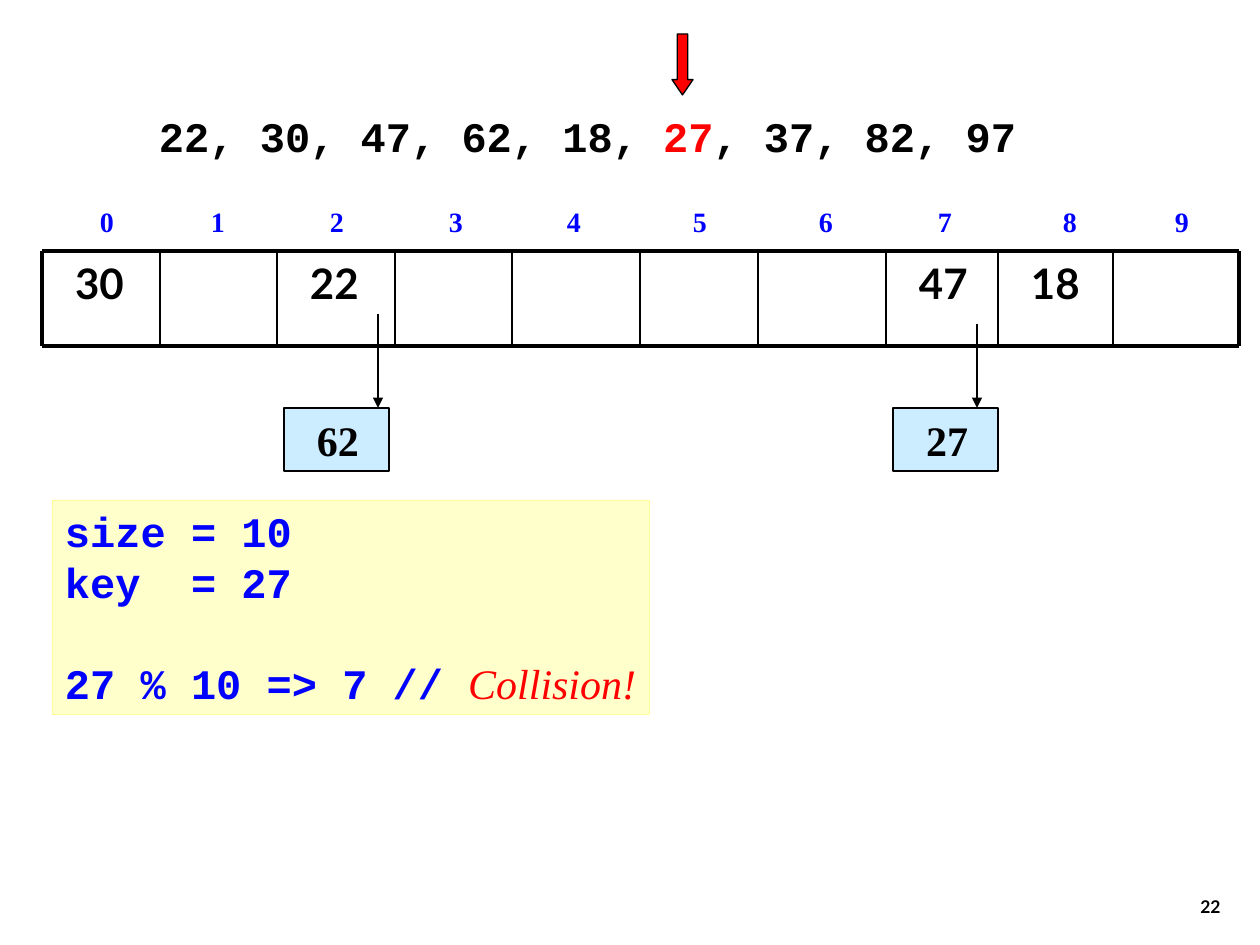
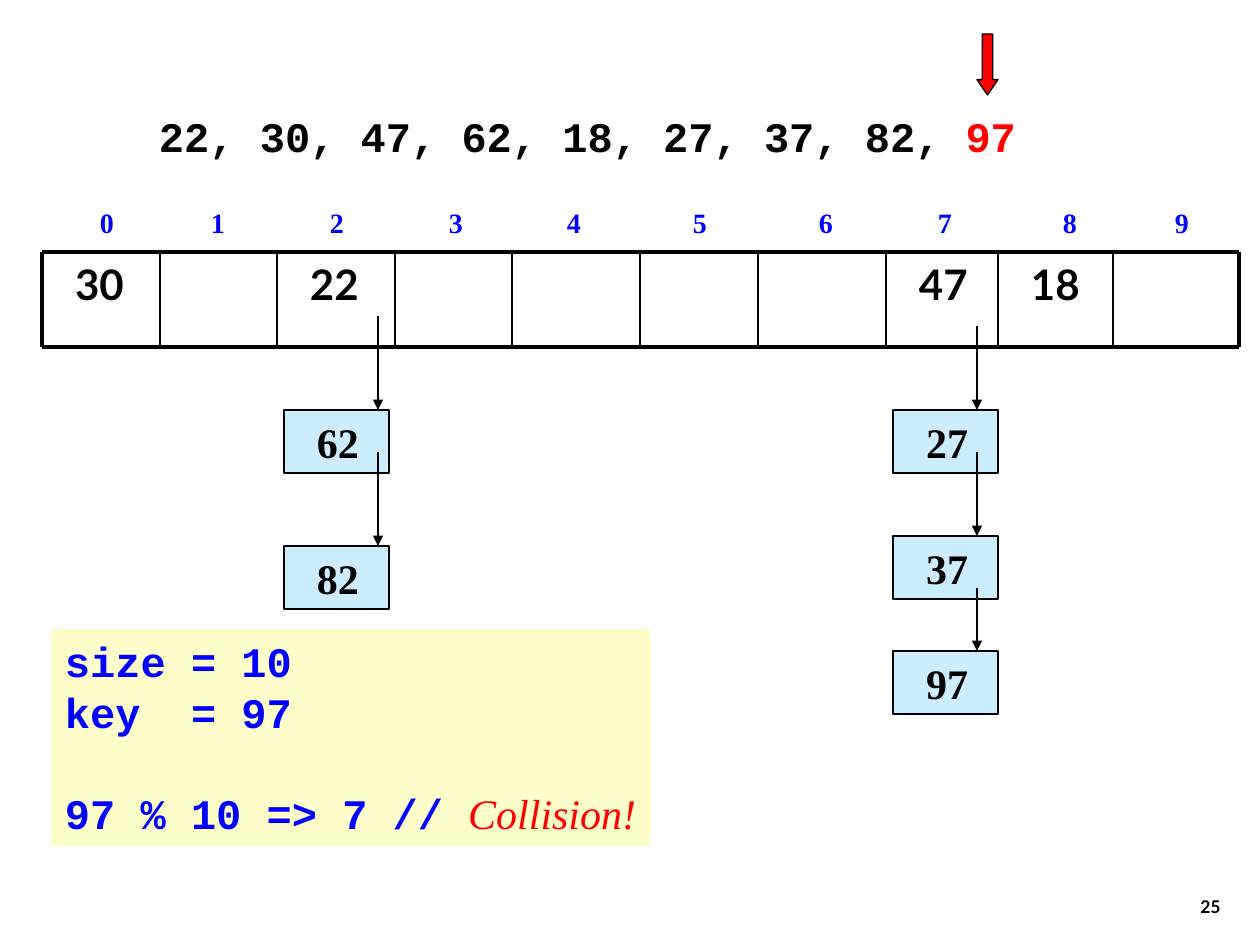
from lxml import etree
from pptx import Presentation
from pptx.dml.color import RGBColor
from pptx.enum.shapes import MSO_CONNECTOR, MSO_SHAPE
from pptx.enum.text import MSO_ANCHOR, PP_ALIGN
from pptx.oxml.ns import qn
from pptx.util import Emu, Pt

PX = 914400 / 126
BLACK = RGBColor(0x00, 0x00, 0x00)
RED = RGBColor(0xFF, 0x00, 0x00)
BLUE = RGBColor(0x00, 0x00, 0xFF)
NODE_FILL = RGBColor(0xCC, 0xEC, 0xFF)
CODE_FILL = RGBColor(0xFF, 0xFF, 0xCC)
CODE_LINE = RGBColor(0xFF, 0xFF, 0x99)
RECT, DOWN_ARROW = MSO_SHAPE.RECTANGLE, MSO_SHAPE.DOWN_ARROW
STRAIGHT = MSO_CONNECTOR.STRAIGHT
TOP, BOTTOM = MSO_ANCHOR.TOP, MSO_ANCHOR.BOTTOM
LEFT, RIGHT = PP_ALIGN.LEFT, PP_ALIGN.RIGHT
MONO, SANS, SERIF = "Courier New", "Lato", "Times New Roman"

KEYS = [22, 30, 47, 62, 18, 27, 37, 82, 97]
TABLE_SIZE = 10
EDGES = [42, 160, 277, 395, 512, 640, 758, 886, 998, 1113, 1239]
INDEX_CENTERS = [107, 218, 337, 456, 574, 700, 826, 945, 1070, 1182]
STORED = {0: 30, 2: 22, 7: 47, 8: 18}
ROW_H = 95
NODE_W, NODE_H = 105, 63

SLIDES = [
    {"number": 22, "key": 27, "marker_x": 672, "row_y": 251, "code_y": 500,
     "chains": [(284, 378, [(62, 94, 408)]),
                (893, 977, [(27, 84, 408)])]},
    {"number": 25, "key": 97, "marker_x": 977, "row_y": 252, "code_y": 630,
     "chains": [(284, 378, [(62, 94, 410), (82, 94, 546)]),
                (893, 977, [(27, 84, 410), (37, 84, 536), (97, 63, 651)])]},
]


def add_box(s, x, y, w, h, paragraphs, font, size, fill=None, line=None,
            line_width=0.75, left=13, top=6, wrap=True, anchor=TOP, align=LEFT):
    box = [Emu(round(v * PX)) for v in (x, y, w, h)]
    if fill is None:
        sp = s.shapes.add_textbox(*box)
    else:
        sp = s.shapes.add_shape(RECT, *box)
        sp.shadow.inherit = False
        sp.fill.solid()
        sp.fill.fore_color.rgb = fill
        sp.line.color.rgb = line
        sp.line.width = Pt(line_width)
    tf = sp.text_frame
    tf.word_wrap = wrap
    tf.vertical_anchor = anchor
    tf.margin_left, tf.margin_top = Emu(round(left * PX)), Emu(round(top * PX))
    for i, runs in enumerate(paragraphs):
        p = tf.paragraphs[0] if i == 0 else tf.add_paragraph()
        p.alignment = align
        if font == MONO:
            p.line_spacing = Pt(28.8)
        for text, color in runs:
            r = p.add_run()
            r.text = text
            r.font.name, r.font.size, r.font.bold = font, Pt(size), True
            r.font.color.rgb = color
    return sp


def add_line(s, x1, y1, x2, y2, width, arrow=False):
    c = s.shapes.add_connector(STRAIGHT, *[Emu(round(v * PX)) for v in (x1, y1, x2, y2)])
    c.line.color.rgb = BLACK
    c.line.width = Pt(width)
    if arrow:
        etree.SubElement(c._element.spPr.find(qn("a:ln")), qn("a:tailEnd"), type="triangle")
    etree.SubElement(c._element.spPr, qn("a:effectLst"))


prs = Presentation()
prs.slide_width, prs.slide_height = Emu(round(1260 * PX)), Emu(round(945 * PX))

for data in SLIDES:
    s = prs.slides.add_slide(prs.slide_layouts[6])
    key, row_y = data["key"], data["row_y"]
    row_bottom = row_y + ROW_H

    add_box(s, 971, 860, 262, 63, [[(str(data["number"]), BLACK)]], SANS, 10,
            anchor=BOTTOM, align=RIGHT)

    for slot, value in STORED.items():
        add_box(s, EDGES[slot], row_y, EDGES[slot + 1] - EDGES[slot], ROW_H,
                [[(str(value), BLACK)]], SANS, 24, left=33)
    for y in (row_y, row_bottom):
        add_line(s, EDGES[0], y, EDGES[-1], y, 2.25)
    for x in EDGES:
        add_line(s, x, row_y, x, row_bottom, 2.25 if x in (EDGES[0], EDGES[-1]) else 1)

    indexes = "".join(f"\t{i}" for i in range(TABLE_SIZE))
    sp = add_box(s, 31, row_y - 53, 1208, 50, [[(indexes, BLUE)]], SERIF, 16, top=7)
    tabs = etree.SubElement(sp.text_frame.paragraphs[0]._p.get_or_add_pPr(), qn("a:tabLst"))
    for center in INDEX_CENTERS:
        etree.SubElement(tabs, qn("a:tab"), pos=str(round((center - 44) * PX)), algn="ctr")

    for node_x, arrow_x, nodes in data["chains"]:
        for value, length, y in nodes:
            add_box(s, node_x, y, NODE_W, NODE_H, [[(str(value), BLACK)]], SERIF, 24,
                    fill=NODE_FILL, line=BLACK, left=33, top=7)
            add_line(s, arrow_x, y - length, arrow_x, y, 0.75, arrow=True)

    at = KEYS.index(key)
    before = "".join(f"{k}, " for k in KEYS[:at])
    after = "".join(f", {k}" for k in KEYS[at + 1:])
    sequence = [(before, BLACK), (str(key), RED)]
    if after:
        sequence.append((after, BLACK))
    add_box(s, 146, 105, 900, 63, [sequence], MONO, 24)

    marker = [Emu(round(v * PX)) for v in (data["marker_x"], 34, 21, 61)]
    sp = s.shapes.add_shape(DOWN_ARROW, *marker)
    sp.shadow.inherit = False
    sp.adjustments[0], sp.adjustments[1] = 0.5, 0.73
    sp.fill.solid()
    sp.fill.fore_color.rgb = RED
    sp.line.color.rgb = BLACK
    sp.line.width = Pt(0.75)

    code = [[(f"size = {TABLE_SIZE}", BLUE)],
            [(f"key  = {key}", BLUE)],
            [(f"{key} % {TABLE_SIZE} => {key % TABLE_SIZE} // ", BLUE), ("Collision!", RED)]]
    sp = add_box(s, 52, data["code_y"], 597, 214, code, MONO, 24, fill=CODE_FILL,
                 line=CODE_LINE, line_width=0.25, wrap=False)
    p = sp.text_frame.paragraphs[-1]
    p.space_before = Pt(28.8)
    r = p.runs[-1]
    r.font.name, r.font.bold, r.font.italic = SERIF, False, True

prs.save("out.pptx")
